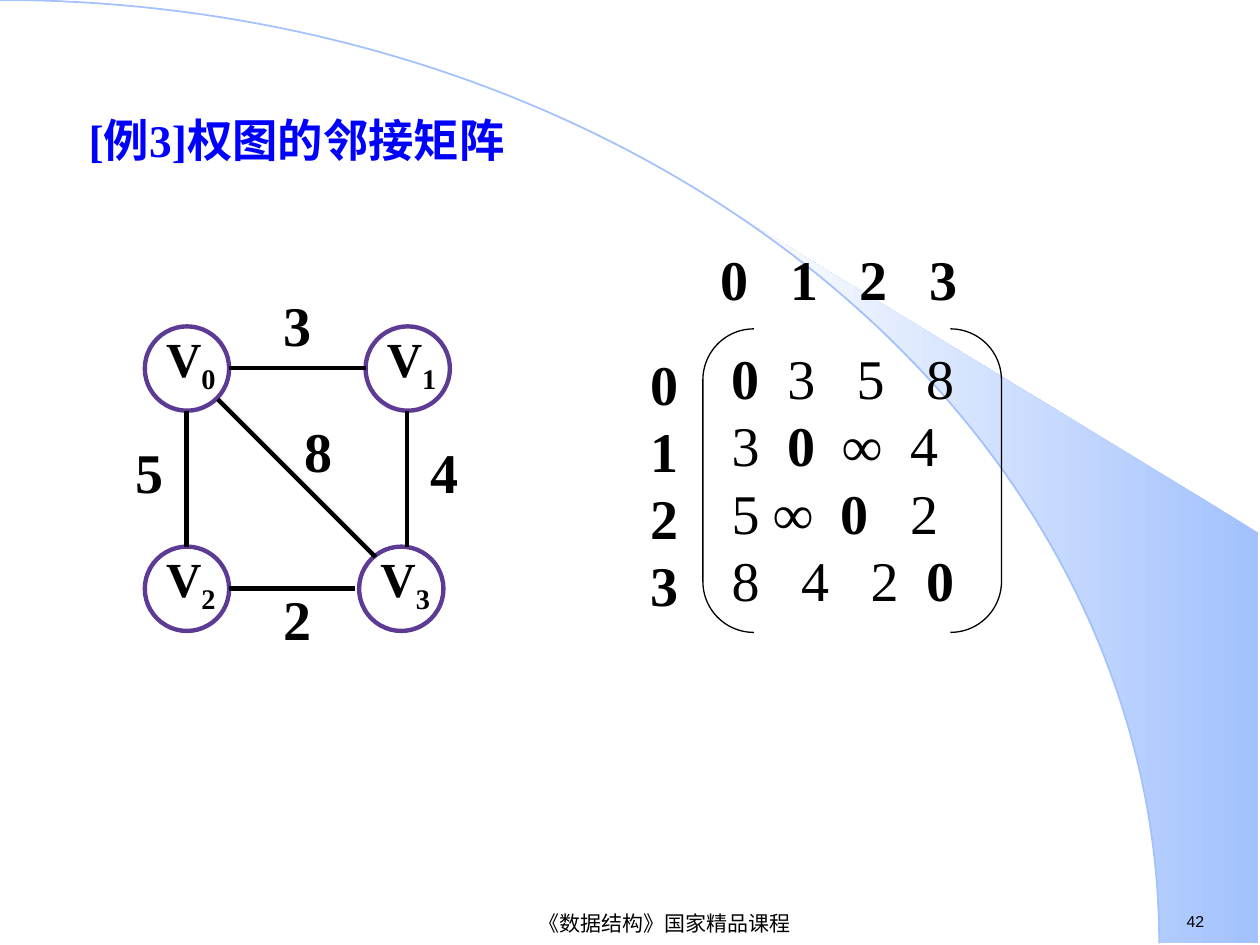
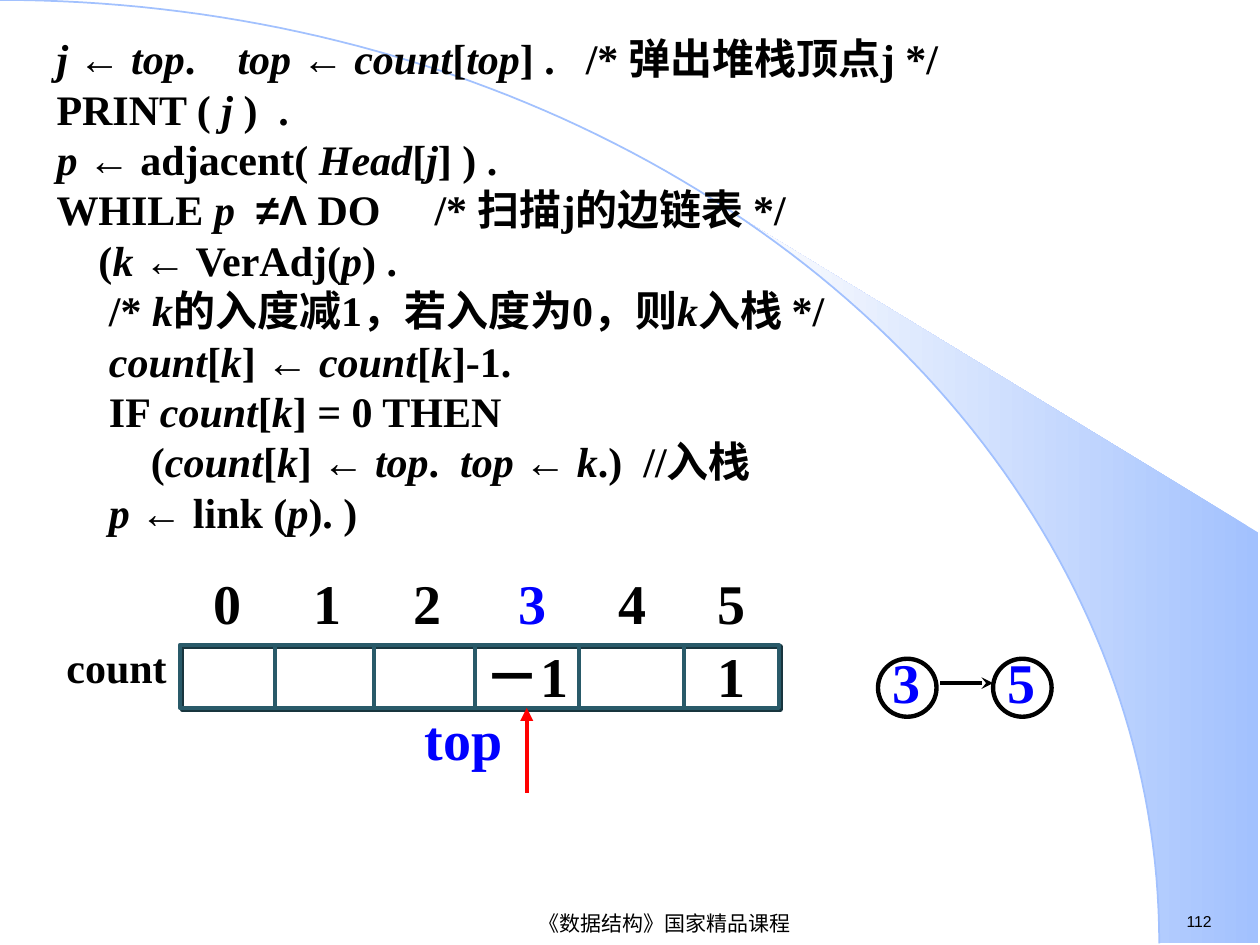
from itertools import groupby
from math import asin, cos, pi, sin

from lxml.etree import SubElement
from pptx import Presentation
from pptx.dml.color import RGBColor
from pptx.enum.shapes import MSO_CONNECTOR, MSO_SHAPE
from pptx.enum.text import MSO_ANCHOR, PP_ALIGN as Align
from pptx.oxml.ns import qn
from pptx.util import Cm, Pt

COLOURS = {"black": "000000", "blue": "0000FF", "red": "FF0000", "purple": "5D3B95",
           "teal": "295A69", "shade": "18353E", "sky": "A2C1FE", "pale": "FEFEFE"}
SERIF, SANS = "Times New Roman", "Arial"
SANS_SYMBOLS = "←≠Λ"
FOOTER = "《数据结构》国家精品课程"


def write(shape, lines, size, colour="black", font=SERIF, align=Align.LEFT, inset=(0.25, 0.13),
          bold=True, marked=None, tabs=(), spacing=1.2):
    """Write lines; text between underscores gets the marked style, tabs lists stops per line."""
    frame = shape.text_frame
    frame.word_wrap = True
    frame.vertical_anchor = MSO_ANCHOR.TOP
    frame.margin_left = frame.margin_right = Cm(inset[0])
    frame.margin_top = frame.margin_bottom = Cm(inset[1])
    for number, line in enumerate(lines):
        paragraph = frame.paragraphs[0] if number == 0 else frame.add_paragraph()
        paragraph.alignment = align
        paragraph.line_spacing = Pt(size * spacing)
        if number < len(tabs) and tabs[number]:
            tab_list = SubElement(paragraph._p.get_or_add_pPr(), qn("a:tabLst"))
            for stop in tabs[number]:
                SubElement(tab_list, qn("a:tab"), pos=str(Cm(stop)), algn="l")
        for index, piece in enumerate(line.split("_")):
            is_marked = index % 2 == 1
            for is_symbol, letters in groupby(piece, lambda letter: letter in SANS_SYMBOLS):
                run = paragraph.add_run()
                run.text = "".join(letters)
                run.font.size = Pt(size)
                run.font.name = SANS if is_symbol else font
                run.font.color.rgb = RGBColor.from_string(COLOURS[colour])
                run.font.bold = bold or (is_marked and marked == "bold")
                run.font.italic = is_marked and marked == "italic"
                if is_marked and marked == "subscript":
                    run._r.get_or_add_rPr().set("baseline", "-25000")


def outline(slide, kind, box, colour, width=2.5):
    """Add an unfilled preset shape."""
    shape = slide.shapes.add_shape(kind, *map(Cm, box))
    shape.shadow.inherit = False
    shape.fill.background()
    shape.line.color.rgb = RGBColor.from_string(COLOURS[colour])
    shape.line.width = Pt(width)
    return shape


presentation = Presentation()
presentation.slide_width, presentation.slide_height = Cm(25.4), Cm(19.05)

# Shared background: a quarter ellipse, a gradient band outside it, and the footer
ARC_WIDTH, ARC_HEIGHT, BAND_LEFT, RIGHT = 23.37, 19.02, 14.96, 25.37
band_angle = asin(BAND_LEFT / ARC_WIDTH)
slides = []
for page in ("42", "112"):
    slide = presentation.slides.add_slide(presentation.slide_layouts[6])
    slides.append(slide)
    curves = []
    for start, steps in ((band_angle, 30), (0, 90)):
        angles = [start + (pi / 2 - start) * step / steps for step in range(steps + 1)]
        curves.append([(Cm(ARC_WIDTH * sin(angle)), Cm(ARC_HEIGHT * (1 - cos(angle))))
                       for angle in angles])
    band_points, arc_points = curves
    band_points += [(Cm(RIGHT), Cm(ARC_HEIGHT)), (Cm(RIGHT), Cm(10.74))]
    for points, closed in ((band_points, True), (arc_points, False)):
        builder = slide.shapes.build_freeform(*points[0])
        builder.add_line_segments(points[1:], close=closed)
        shape = builder.convert_to_shape()
        shape.shadow.inherit = False
        if closed:
            shape.line.fill.background()
            shape.fill.gradient()
            shape.fill.gradient_angle = 180
            for stop, name in zip(shape.fill.gradient_stops, ("sky", "pale")):
                stop.color.rgb = RGBColor.from_string(COLOURS[name])
        else:
            shape.fill.background()
            shape.line.color.rgb = RGBColor.from_string(COLOURS["sky"])
            shape.line.width = Pt(1)
    for text, box, size, align in ((page, (23.67, 18.26, 1.7, 0.64), 9, Align.LEFT),
                                   (FOOTER, (6.1, 18.31, 14.6, 0.61), 12, Align.CENTER)):
        shape = slide.shapes.add_textbox(*map(Cm, box))
        write(shape, [text], size, font=SANS, align=align, bold=False)
        if text == FOOTER:
            shape.text_frame.vertical_anchor = MSO_ANCHOR.MIDDLE
matrix_slide, code_slide = slides

# Slide 1: title
title = matrix_slide.shapes.add_textbox(Cm(1.3), Cm(2.31), Cm(10.6), Cm(1.4))
write(title, ["[例3]权图的邻接矩阵"], 25.9, "blue", inset=(0.49, 0.13), spacing=1)

# Slide 1: adjacency matrix, with tab stops counted in widths of a space
SPACE = 0.28
row_labels = matrix_slide.shapes.add_textbox(Cm(12.7), Cm(7.04), Cm(1.4), Cm(5.84))
write(row_labels, ["0", "1", "2", "3"], 32, align=Align.CENTER, inset=(0, 0))
column_labels = matrix_slide.shapes.add_textbox(Cm(14.53), Cm(4.93), Cm(5.28), Cm(1.75))
write(column_labels, ["0\t1\t2\t3"], 32, inset=(0, 0),
      tabs=[[SPACE * count for count in (5, 10, 15)]])
matrix_rows = [("\t_0_\t3\t5\t8", (1, 5, 10, 15)),
               ("\t3\t_0_\t_∞_\t4", (1, 5, 9, 13.85)),
               ("\t5\t_∞_\t_0_\t2", (1, 4, 8.85, 13.85)),
               ("\t8\t4\t2\t_0_", (1, 6, 11, 15))]
brackets = outline(matrix_slide, MSO_SHAPE.DOUBLE_BRACKET, (14.17, 6.63, 6.02, 6.12), "black", 0.75)
brackets.adjustments[0] = 0.171
write(brackets, [row for row, counts in matrix_rows], 32, inset=(0, 0), bold=False, marked="bold",
      tabs=[[SPACE * count for count in counts] for row, counts in matrix_rows])

# Slide 1: weighted graph
for name, left, top in (("V_0_", 2.92, 6.58), ("V_3_", 7.24, 11.02),
                        ("V_2_", 2.92, 11.02), ("V_1_", 7.37, 6.58)):
    outline(matrix_slide, MSO_SHAPE.OVAL, (left, top, 1.7, 1.7), "purple")
    label = matrix_slide.shapes.add_textbox(Cm(left + 0.43), Cm(top + 0.2), Cm(1.27), Cm(1.5))
    write(label, [name], 28, inset=(0, 0), marked="subscript")
for weight, left, top in (("3", 5.46, 5.72), ("5", 2.49, 8.69), ("2", 5.46, 11.66),
                          ("8", 5.89, 8.26), ("4", 8.43, 8.69)):
    label = matrix_slide.shapes.add_textbox(Cm(left), Cm(top), Cm(1.07), Cm(1.63))
    write(label, [weight], 32)

# Slide 2: algorithm
code_lines = [
    "_j_ ← _top_.\t_top_ ← _count_[_top_] .\t/* 弹出堆栈顶点j */",
    "PRINT ( _j_ )  .",
    "_p_ ← adjacent( _Head_[_j_] ) .",
    "WHILE _p_  ≠Λ DO\t/* 扫描j的边链表 */",
    "    (_k_ ← VerAdj(_p_) .",
    "     /* _k_的入度减1，若入度为0，则_k_入栈 */",
    "     _count_[_k_] ← _count_[_k_]-1.",
    "     IF _count_[_k_] = 0 THEN",
    "         (_count_[_k_] ← _top_.  _top_ ← _k_.)  //入栈",
    "     _p_ ← link (_p_). )",
]
code = code_slide.shapes.add_textbox(Cm(0.89), Cm(0.53), Cm(19.3), Cm(10.41))
write(code, code_lines, 24, marked="italic", tabs=[(3.65, 10.67), (), (), (7.62,)])

# Slide 2: count array
ARRAY_TOP, ARRAY_BOTTOM = 13, 14.27
array = outline(code_slide, MSO_SHAPE.RECTANGLE, (3.63, ARRAY_TOP, 12.07, 1.27), "teal")
shadow = SubElement(array._element.spPr.find(qn("a:effectLst")), qn("a:outerShdw"),
                    dist=str(Pt(1.4)), dir="2700000", algn="ctr", rotWithShape="0")
SubElement(shadow, qn("a:srgbClr"), val=COLOURS["shade"])
array_texts = [(str(index), left, 11.33, 1.91, 32, "blue" if index == 3 else "black", Align.CENTER)
               for index, left in enumerate((3.63, 5.64, 7.67, 9.78, 11.79, 13.79))]
array_texts += [("－1", 9.25, 12.8, 2.74, 32, "black", Align.CENTER),
                ("1", 13.79, 12.8, 1.91, 32, "black", Align.CENTER),
                ("count", 1.09, 12.8, 3.18, 24, "black", Align.LEFT),
                ("top", 8.31, 14.07, 2.54, 32, "blue", Align.LEFT)]
for text, left, top, width, size, colour, align in array_texts:
    label = code_slide.shapes.add_textbox(Cm(left), Cm(top), Cm(width), Cm(1.63))
    write(label, [text], size, colour, align=align)

# Slide 2: output sequence
for vertex, left in (("3", 17.7), ("5", 20.02)):
    outline(code_slide, MSO_SHAPE.OVAL, (left, 13.28, 1.18, 1.17), "black")
    label = code_slide.shapes.add_textbox(Cm(left + 0.05), Cm(12.93), Cm(1.06), Cm(1.63))
    write(label, [vertex], 32, "blue", align=Align.CENTER, inset=(0, 0.13))

# Graph edges, array dividers and arrows
connectors = [(matrix_slide, ends, "black", 2.5, None) for ends in (
    (4.62, 7.42, 7.37, 7.42), (8.2, 8.28, 8.2, 11.02), (4.62, 11.86, 7.16, 11.86),
    (3.76, 8.28, 3.76, 11.02), (4.39, 8.05, 7.57, 11.23))]
connectors += [(code_slide, (x, ARRAY_TOP, x, ARRAY_BOTTOM), "teal", 2.25, None)
               for x in (5.54, 7.54, 9.58, 11.68, 13.79)]
connectors += [(code_slide, (10.62, 15.98, 10.62, ARRAY_BOTTOM), "red", 2.5, "triangle"),
               (code_slide, (18.95, 13.77, 20.02, 13.77), "black", 2.25, "stealth")]
for slide, ends, colour, width, arrowhead in connectors:
    connector = slide.shapes.add_connector(MSO_CONNECTOR.STRAIGHT, *map(Cm, ends))
    connector.line.color.rgb = RGBColor.from_string(COLOURS[colour])
    connector.line.width = Pt(width)
    if arrowhead:
        SubElement(connector.line._get_or_add_ln(), qn("a:tailEnd"), type=arrowhead)
    SubElement(connector._element.spPr, qn("a:effectLst"))

presentation.save("out.pptx")
